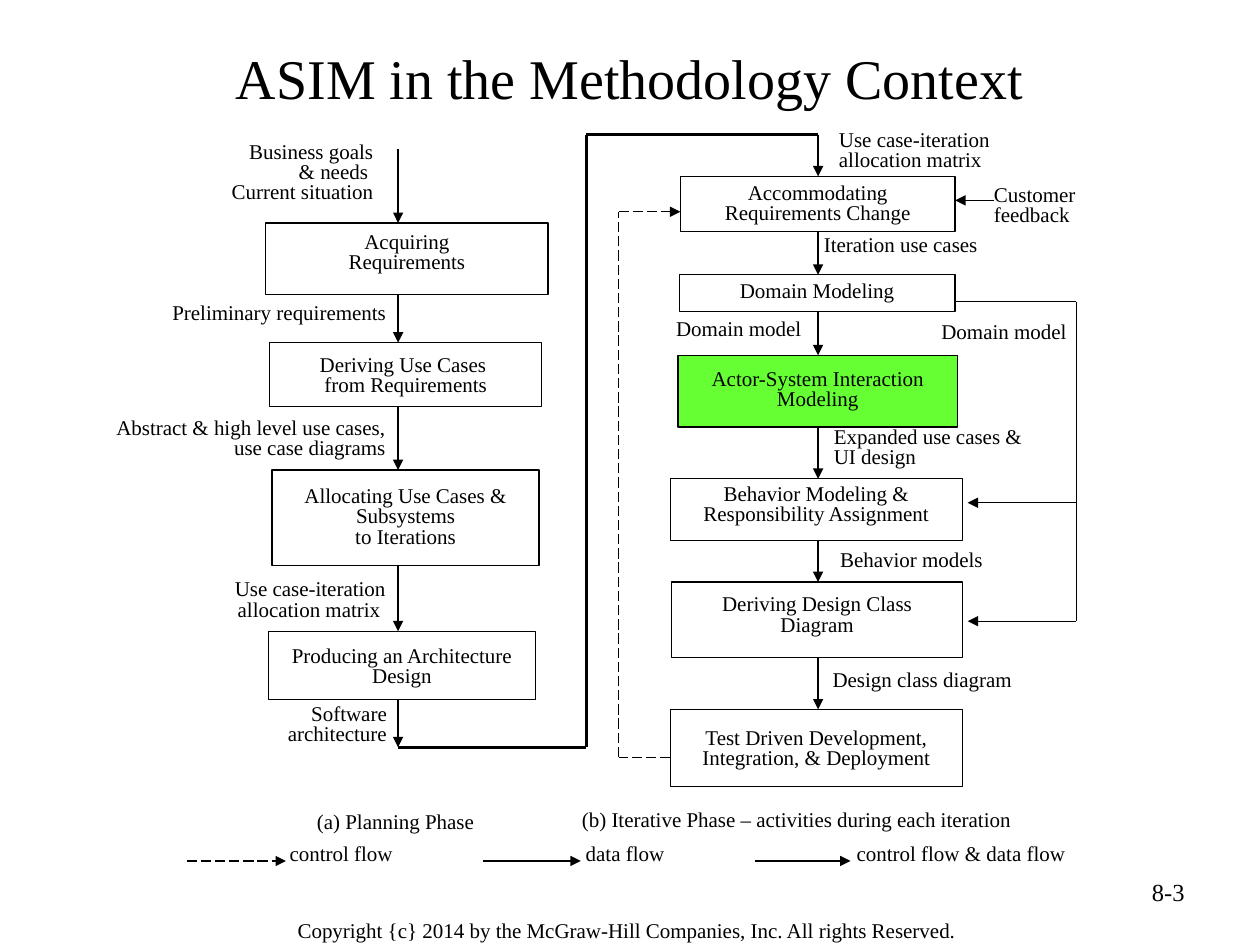
from itertools import pairwise

from lxml import etree
from pptx import Presentation
from pptx.dml.color import RGBColor
from pptx.enum.dml import MSO_LINE
from pptx.enum.shapes import MSO_CONNECTOR, MSO_SHAPE
from pptx.enum.text import MSO_ANCHOR, PP_ALIGN
from pptx.oxml.ns import qn
from pptx.util import Pt

BLACK = RGBColor(0x00, 0x00, 0x00)
WHITE = RGBColor(0xFF, 0xFF, 0xFF)
GREEN = RGBColor(0x66, 0xFF, 0x33)

LEFT, CENTER, RIGHT = PP_ALIGN.LEFT, PP_ALIGN.CENTER, PP_ALIGN.RIGHT
TOP, MIDDLE = MSO_ANCHOR.TOP, MSO_ANCHOR.MIDDLE
RECTANGLE = MSO_SHAPE.RECTANGLE
STRAIGHT = MSO_CONNECTOR.STRAIGHT
LONG_DASH = MSO_LINE.LONG_DASH

FONT_NAME = "Times New Roman"
THIN, THICK = 0.75, 1.5
TIGHT = 0.8
PLANNING_X, ITERATIVE_X = 227.5, 467.5

PLANNING_STEPS = [
    ((151.9, 127.4, 161.3, 41), 5.8, None, ["Acquiring", "Requirements"]),
    ((154.1, 195.8, 155.5, 36.7), 7.9, None,
     ["Deriving Use Cases ", "from Requirements"]),
    ((155.5, 268.6, 152.6, 54.7), 10.1, WHITE,
     ["Allocating Use Cases & Subsystems", "to Iterations"]),
    ((153.4, 360.7, 152.6, 38.9), 9.4, WHITE,
     ["Producing an Architecture Design"]),
]

ITERATIVE_STEPS = [
    ((388.8, 100.8, 157, 31.7), 4.3, WHITE,
     ["Accommodating", "Requirements Change"]),
    ((388.1, 157, 157.7, 20.9), 4.3, None, ["Domain Modeling"]),
    ((387.4, 203, 159.8, 41), 8.6, GREEN,
     ["Actor-System Interaction Modeling"]),
    ((383, 273.6, 167, 35.3), 3.6, WHITE,
     ["Behavior Modeling &", "Responsibility Assignment"]),
    ((383.8, 332.6, 166.3, 43.2), 7.9, WHITE,
     ["Deriving Design Class", "Diagram"]),
    ((383, 405.4, 167, 43.9), 11.5, WHITE,
     ["Test Driven Development, Integration, & Deployment"]),
]

LABELS = [
    ((99.4, 78.5, 121, 54.7), RIGHT,
     ["Business goals", "& needs ", "Current situation"]),
    ((91.4, 170.6, 139.7, 23), LEFT, ["Preliminary requirements"]),
    ((51.8, 236.2, 175.7, 38.2), RIGHT,
     ["Abstract & high level use cases, use case diagrams"]),
    ((82.8, 328.3, 144.7, 39.6), RIGHT,
     ["Use case-iteration allocation matrix "]),
    ((131, 399.6, 97.2, 38.2), RIGHT, ["Software architecture"]),
    ((472.3, 71.3, 144.7, 39.6), LEFT,
     ["Use case-iteration allocation matrix"]),
    ((560.9, 103, 85, 43.9), LEFT, ["Customer", "feedback"]),
    ((463.7, 131.8, 145.4, 25.2), LEFT, ["Iteration use cases"]),
    ((357.1, 179.3, 108, 20.2), RIGHT, ["Domain model"]),
    ((519.8, 181.4, 108, 20.2), CENTER, ["Domain model"]),
    ((469.4, 241.2, 136.1, 38.9), LEFT, ["Expanded use cases & UI design"]),
    ((473, 311.8, 100.8, 22.3), LEFT, ["Behavior models"]),
    ((468.7, 380.2, 185, 25.2), LEFT, ["Design class diagram"]),
    ((144.7, 461.5, 162.7, 25.2), CENTER, ["(a) Planning Phase"]),
    ((325.4, 460.1, 334.8, 25.2), LEFT,
     ["(b) Iterative Phase – activities during each iteration"]),
]

LEGEND = [
    (106.6, 163.4, 158.4, 114.5, THIN, True, "control flow"),
    (275.8, 331.9, 327.6, 104.4, THIN, False, "data flow"),
    (431.3, 486, 482.4, 183.6, THICK, False, "control flow & data flow"),
]


def write_text(shape, lines, alignment, size=12, spacing=None, anchor=TOP):
    text_frame = shape.text_frame
    text_frame.word_wrap = True
    text_frame.vertical_anchor = anchor
    for index, line in enumerate(lines):
        paragraph = text_frame.add_paragraph() if index else text_frame.paragraphs[0]
        paragraph.alignment = alignment
        if spacing:
            paragraph.line_spacing = spacing
        run = paragraph.add_run()
        run.text = line
        run.font.name = FONT_NAME
        run.font.size = Pt(size)
        run.font.color.rgb = BLACK


def add_title(slide, text):
    title = slide.shapes.title
    title.left, title.top, title.width, title.height = map(Pt, (36, 21.6, 648, 44.6))
    write_text(title, [text], CENTER, size=32, anchor=MIDDLE)


def add_label(slide, bounds, lines, alignment, size=12, spacing=TIGHT):
    label = slide.shapes.add_textbox(*map(Pt, bounds))
    write_text(label, lines, alignment, size, spacing)


def add_step(slide, bounds, top_inset, fill, lines):
    step = slide.shapes.add_shape(RECTANGLE, *map(Pt, bounds))
    step.shadow.inherit = False
    if fill is None:
        step.fill.background()
    else:
        step.fill.solid()
        step.fill.fore_color.rgb = fill
    step.line.color.rgb = BLACK
    step.line.width = Pt(THIN)
    step.text_frame.margin_top = Pt(top_inset)
    step.text_frame.margin_bottom = Pt(0)
    write_text(step, lines, CENTER, spacing=TIGHT)


def add_line(slide, start, end, width, dashed, arrow):
    connector = slide.shapes.add_connector(STRAIGHT, *map(Pt, (*start, *end)))
    connector.line.color.rgb = BLACK
    connector.line.width = Pt(width)
    if dashed:
        connector.line.dash_style = LONG_DASH
    if arrow:
        line_element = connector.line._get_or_add_ln()
        etree.SubElement(line_element, qn("a:tailEnd"), type="triangle")
    etree.SubElement(connector._element.spPr, qn("a:effectLst"))


def add_flow(slide, points, width, dashed=False):
    for start, end in pairwise(points):
        add_line(slide, start, end, width, dashed, arrow=end == points[-1])


def add_phase(slide, steps, arrow_x):
    for step in steps:
        add_step(slide, *step)
    for (bounds, *_), (next_bounds, *_) in pairwise(steps):
        bottom = bounds[1] + bounds[3]
        add_flow(slide, [(arrow_x, bottom), (arrow_x, next_bounds[1])], THICK)


def add_legend(slide):
    for start, end, text_left, text_width, width, dashed, text in LEGEND:
        add_flow(slide, [(start, 492), (end, 492)], width, dashed)
        add_label(slide, (text_left, 479.5, text_width, 25.2), [text], LEFT)


def main():
    presentation = Presentation()
    presentation.slide_width, presentation.slide_height = Pt(720), Pt(540)
    slide = presentation.slides.add_slide(presentation.slide_layouts[5])
    add_title(slide, "ASIM in the Methodology Context")

    add_phase(slide, PLANNING_STEPS, PLANNING_X)
    add_phase(slide, ITERATIVE_STEPS, ITERATIVE_X)

    add_flow(slide, [(PLANNING_X, 85), (PLANNING_X, 127.4)], THICK)
    add_flow(slide, [(PLANNING_X, 399.6), (PLANNING_X, 427)], THICK)
    add_flow(slide, [(PLANNING_X, 427), (335, 427), (335, 77),
                     (ITERATIVE_X, 77), (ITERATIVE_X, 100.8)], THICK)
    add_flow(slide, [(383, 432.7), (353.5, 432.7), (353.5, 121), (388.8, 121)],
             THIN, dashed=True)
    add_flow(slide, [(568, 114.5), (545.8, 114.5)], THIN)
    add_flow(slide, [(545.8, 172.4), (615, 172.4), (615, 355), (553, 355)], THIN)
    add_flow(slide, [(615, 287.3), (553, 287.3)], THIN)

    for bounds, alignment, lines in LABELS:
        add_label(slide, bounds, lines, alignment)
    add_legend(slide)

    add_label(slide, (516.2, 497.5, 167.8, 37.4), ["8-3"], RIGHT, 14, None)
    add_label(slide, (135.4, 520.5, 445.7, 22.3),
              ["Copyright {c} 2014 by the McGraw-Hill Companies, Inc. "
               "All rights Reserved."], CENTER, spacing=None)
    presentation.save("out.pptx")


if __name__ == "__main__":
    main()
